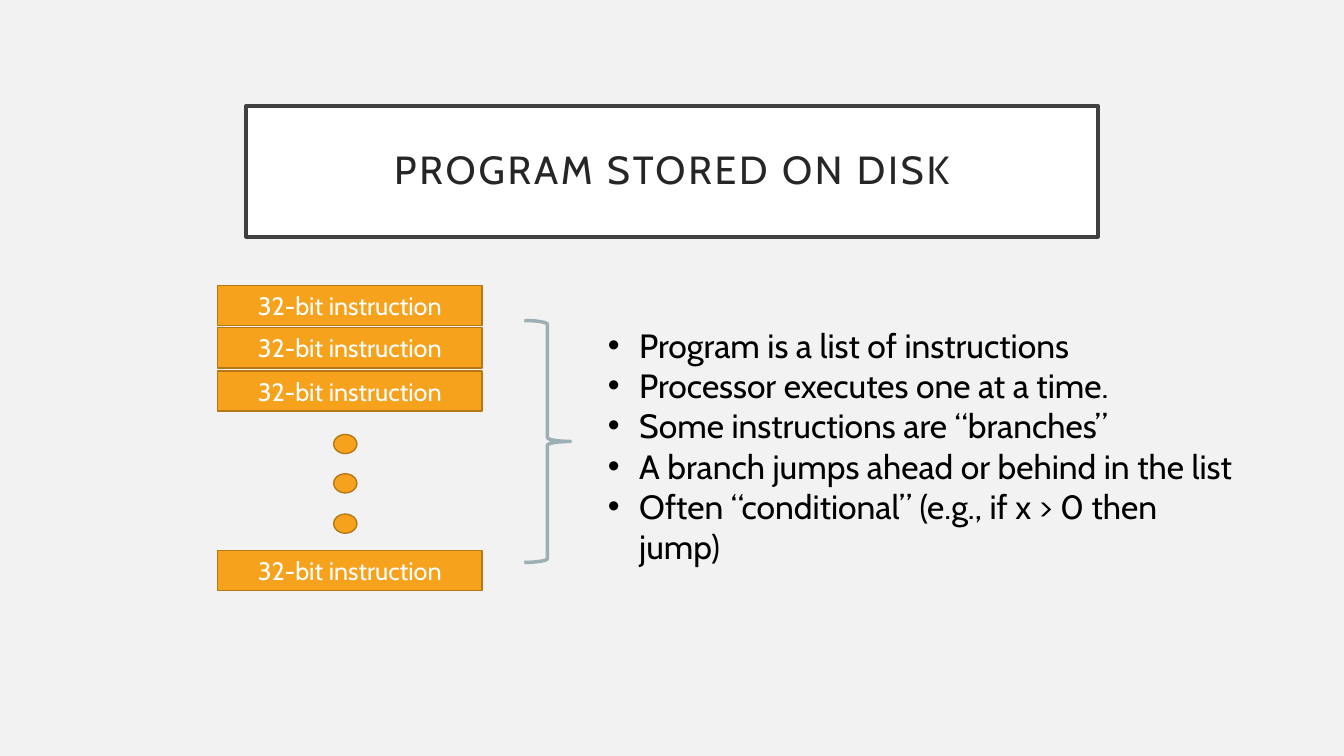
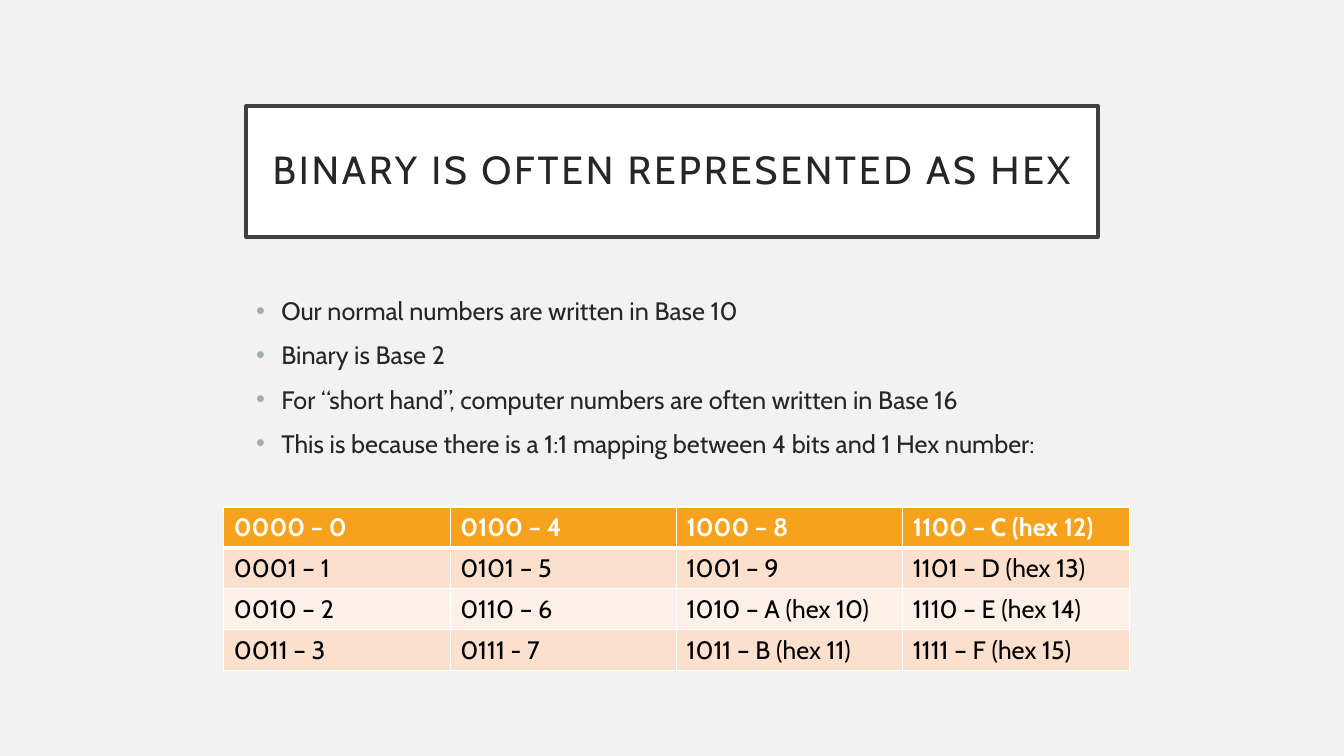
import pptx
import pptx.dml.color
import pptx.enum.shapes
import pptx.enum.text
import pptx.oxml.ns
import pptx.util
from lxml import etree

RGBColor = pptx.dml.color.RGBColor
Shape = pptx.enum.shapes.MSO_SHAPE
Align = pptx.enum.text.PP_ALIGN
Anchor = pptx.enum.text.MSO_ANCHOR
qn = pptx.oxml.ns.qn

# Shared style
EMU_PER_PX = 9144  # 100 px to the inch
FONT = "Cabin"
BACKGROUND = RGBColor(0xF2, 0xF2, 0xF2)
WHITE = RGBColor(0xFF, 0xFF, 0xFF)
BLACK = RGBColor(0x00, 0x00, 0x00)
INK = RGBColor(0x26, 0x26, 0x26)
FRAME = RGBColor(0x40, 0x40, 0x40)
ORANGE = RGBColor(0xF6, 0xA2, 0x1D)
ORANGE_EDGE = RGBColor(0xB6, 0x78, 0x15)
SLATE = RGBColor(0x9B, 0xAF, 0xB5)
BAND_DARK = RGBColor(0xFB, 0xE0, 0xCD)
BAND_LIGHT = RGBColor(0xFD, 0xF0, 0xE8)

# Content
PROGRAM_FACTS = [
    "Program is a list of instructions",
    "Processor executes one at a time.",
    "Some instructions are “branches”",
    "A branch jumps ahead or behind in the list",
    "Often “conditional” (e.g., if x > 0 then jump)",
]
HEX_FACTS = [
    "Our normal numbers are written in Base 10",
    "Binary is Base 2",
    "For “short hand”, computer numbers are often written in Base 16",
    "This is because there is a 1:1 mapping between 4 bits and 1 Hex number:",
]
HEX_ROWS = [
    ["0000 – 0", "0100 – 4", "1000 – 8", "1100 – C (hex 12)"],
    ["0001 – 1", "0101 – 5", "1001 – 9", "1101 – D (hex 13)"],
    ["0010 – 2", "0110 – 6", "1010 – A (hex 10)", "1110 – E (hex 14)"],
    ["0011 – 3", "0111 - 7", "1011 – B (hex 11)", "1111 – F (hex 15)"],
]


def px(length):
    return pptx.util.Emu(length * EMU_PER_PX)


def place(shape, left, top, width, height):
    shape.left, shape.top = px(left), px(top)
    shape.width, shape.height = px(width), px(height)


def add_bullet(paragraph, color, indent):
    properties = paragraph._p.get_or_add_pPr()
    properties.set("marL", str(px(indent)))
    properties.set("indent", str(-px(indent)))
    bullet_color = etree.SubElement(properties, qn("a:buClr"))
    etree.SubElement(bullet_color, qn("a:srgbClr"), val=str(color))
    etree.SubElement(properties, qn("a:buFont"), typeface="Arial")
    etree.SubElement(properties, qn("a:buChar"), char="•")


def write_text(frame, lines, size=18, color=INK, bold=False, align=Align.LEFT,
               anchor=Anchor.TOP, line_spacing=1.0, gap=0, tracking=0,
               bullet=None, indent=0):
    """Fill a text frame, one paragraph for each line."""
    frame.word_wrap = True
    frame.vertical_anchor = anchor
    for index, line in enumerate(lines):
        paragraph = frame.add_paragraph() if index else frame.paragraphs[0]
        if bullet is not None:
            add_bullet(paragraph, bullet, indent)
        paragraph.alignment = align
        paragraph.line_spacing = line_spacing
        paragraph.space_before = pptx.util.Pt(gap if index else 0)
        run = paragraph.add_run()
        run.text = line
        run.font.name = FONT
        run.font.size = pptx.util.Pt(size)
        run.font.bold = bold
        run.font.color.rgb = color
        if tracking:
            run.font._element.set("spc", str(tracking * 100))


def outline(shape, color, width):
    shape.line.color.rgb = color
    shape.line.width = pptx.util.Pt(width)


def add_orange_shape(slide, kind, left, top, width, height):
    shape = slide.shapes.add_shape(
        kind, px(left), px(top), px(width), px(height))
    shape.shadow.inherit = False
    shape.fill.solid()
    shape.fill.fore_color.rgb = ORANGE
    outline(shape, ORANGE_EDGE, 1)
    return shape


def add_instruction(slide, top):
    box = add_orange_shape(slide, Shape.RECTANGLE, 216, top, 262, 40)
    write_text(box.text_frame, ["32-bit instruction"], color=WHITE,
               align=Align.CENTER, anchor=Anchor.MIDDLE)


def spread(first, last, count):
    """Evenly spaced positions from first to last."""
    return [first + (last - first) * i // (count - 1) for i in range(count)]


def add_titled_slide(deck, heading):
    slide = deck.slides.add_slide(deck.slide_layouts[1])
    title = slide.shapes.title
    place(title, 244, 105, 845, 130)
    title.fill.solid()
    title.fill.fore_color.rgb = WHITE
    outline(title, FRAME, 2.5)
    frame = title.text_frame
    frame.auto_size = pptx.enum.text.MSO_AUTO_SIZE.NONE
    frame.margin_left = frame.margin_right = px(20)
    frame.margin_top = frame.margin_bottom = px(20)
    write_text(frame, [heading], size=28, align=Align.CENTER,
               anchor=Anchor.MIDDLE, line_spacing=0.9, tracking=2)
    return slide


def fill_list(slide, lines, left, top, width, height, **text_format):
    body = slide.placeholders[1]
    place(body, left, top, width, height)
    body.text_frame.auto_size = pptx.enum.text.MSO_AUTO_SIZE.NONE
    write_text(body.text_frame, lines, **text_format)


def set_borders(cell, **widths):
    properties = cell._tc.get_or_add_tcPr()
    for side in "LRTB":
        width = pptx.util.Pt(widths.get(side, 1))
        border = etree.SubElement(
            properties, qn(f"a:ln{side}"), w=str(width))
        fill = etree.SubElement(border, qn("a:solidFill"))
        etree.SubElement(fill, qn("a:srgbClr"), val=str(WHITE))


def add_hex_table(slide, left, top, width, height):
    table = slide.shapes.add_table(
        len(HEX_ROWS), len(HEX_ROWS[0]),
        px(left), px(top), px(width), px(height)).table
    for row, labels in enumerate(HEX_ROWS):
        header = row == 0
        band = ORANGE if header else BAND_DARK if row % 2 else BAND_LIGHT
        for column, label in enumerate(labels):
            cell = table.cell(row, column)
            set_borders(cell, T=3 if row == 1 else 1, B=3 if header else 1)
            cell.fill.solid()
            cell.fill.fore_color.rgb = band
            write_text(cell.text_frame, [label], bold=header,
                       color=WHITE if header else BLACK)


def build_program_slide(deck):
    slide = add_titled_slide(deck, "PROGRAM STORED ON DISK")

    # Instruction list with an ellipsis before the last one
    for top in spread(283, 368, 3) + [546]:
        add_instruction(slide, top)
    for top in spread(431, 510, 3):
        add_orange_shape(slide, Shape.OVAL, 331, top, 23, 19)

    # Brace joining the list to its explanation
    brace = slide.shapes.add_shape(
        Shape.RIGHT_BRACE, px(520), px(318), px(46), px(240))
    brace.shadow.inherit = False
    brace.fill.background()
    outline(brace, SLATE, 2.5)

    fill_list(slide, PROGRAM_FACTS, 593, 317, 645, 250,
              size=24, color=BLACK, bullet=BLACK, indent=31)


def build_hex_slide(deck):
    slide = add_titled_slide(deck, "BINARY IS OFTEN REPRESENTED AS HEX")
    fill_list(slide, HEX_FACTS, 244, 288, 845, 339,
              gap=10, bullet=SLATE, indent=25)
    add_hex_table(slide, 222, 503, 898, 162)


def main():
    deck = pptx.Presentation()
    deck.slide_width, deck.slide_height = px(1333), px(750)
    background = deck.slide_master.background.fill
    background.solid()
    background.fore_color.rgb = BACKGROUND
    build_program_slide(deck)
    build_hex_slide(deck)
    deck.save("out.pptx")


if __name__ == "__main__":
    main()
